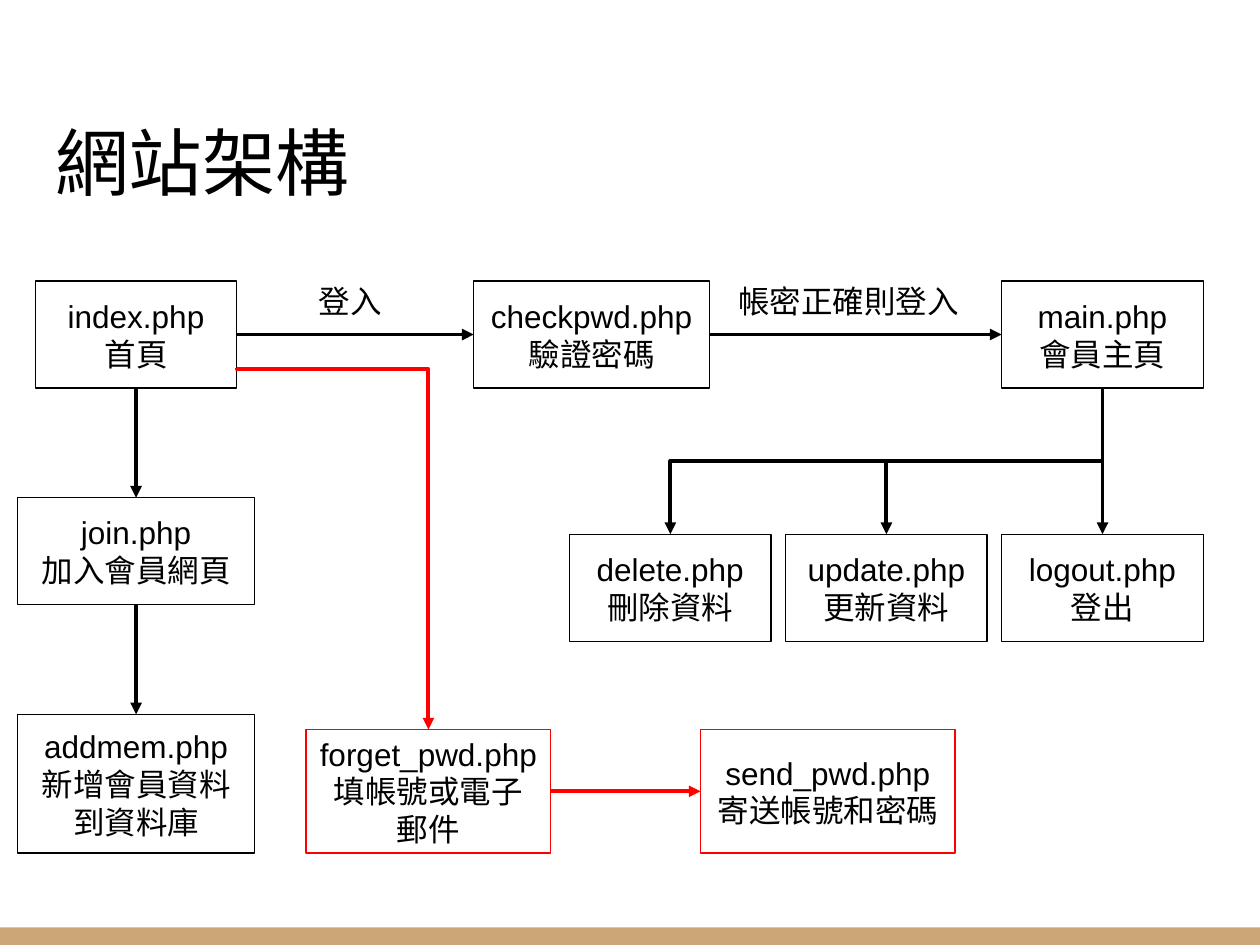
from dataclasses import dataclass

from lxml.etree import SubElement
from pptx import Presentation
from pptx.dml.color import RGBColor
from pptx.enum.shapes import MSO_CONNECTOR as Connector, MSO_SHAPE as Shape
from pptx.enum.text import MSO_ANCHOR as Anchor, PP_ALIGN as Align
from pptx.oxml.ns import qn
from pptx.util import Inches, Pt


@dataclass(frozen=True)
class Theme:
    black: RGBColor = RGBColor(0, 0, 0)
    red: RGBColor = RGBColor(0xFF, 0, 0)
    tan: RGBColor = RGBColor(0xCC, 0xA6, 0x77)
    title_font: str = "Roboto"
    body_font: str = "Arial"
    title_size: int = 42
    body_size: int = 18
    border: float = 0.75
    arrow: float = 2.25
    inset: float = 0.1


THEME = Theme()


@dataclass(frozen=True)
class Page:
    """One page of the site: its file name, its purpose and its box."""
    file: str
    purpose: str
    left: float
    top: float
    width: float = 1.6
    height: float = 0.85
    color: RGBColor = THEME.black

    @property
    def right(self) -> float:
        return self.left + self.width

    @property
    def bottom(self) -> float:
        return self.top + self.height

    @property
    def center(self) -> float:
        return self.left + self.width / 2

    @property
    def middle(self) -> float:
        return self.top + self.height / 2


@dataclass(frozen=True)
class Label:
    text: str
    left: float
    top: float
    width: float
    height: float
    font: str = THEME.body_font
    size: int = THEME.body_size
    anchor: Anchor = Anchor.TOP


TOP_ROW, ACTION_ROW, JOIN_ROW = 2.23, 4.24, 3.95
ACTION_LEFT, ACTION_STEP = 4.52, 1.715
MAIN_LEFT = ACTION_LEFT + 2 * ACTION_STEP

INDEX = Page("index.php", "首頁", 0.28, TOP_ROW)
CHECK = Page("checkpwd.php", "驗證密碼", 3.76, TOP_ROW, 1.87)
MAIN = Page("main.php", "會員主頁", MAIN_LEFT, TOP_ROW)
JOIN = Page("join.php", "加入會員網頁", 0.14, JOIN_ROW, 1.88)
ADD = Page("addmem.php", "新增會員資料到資料庫", 0.14, 5.67, 1.88, 1.1)
FORGET = Page("forget_pwd.php", "填帳號或電子郵件", 2.43, 5.79, 1.94, 0.98, THEME.red)
SEND = Page("send_pwd.php", "寄送帳號和密碼", 5.56, 5.79, 2.02, 0.98, THEME.red)
DELETE, UPDATE, LOGOUT = (
    Page(file, purpose, ACTION_LEFT + index * ACTION_STEP, ACTION_ROW)
    for index, (file, purpose) in enumerate(
        [("delete.php", "刪除資料"), ("update.php", "更新資料"), ("logout.php", "登出")])
)
PAGES = [INDEX, CHECK, MAIN, JOIN, ADD, DELETE, UPDATE, LOGOUT, FORGET, SEND]

LABELS = [
    Label("網站架構", 0.34, 0.88, 9.32, 0.85, THEME.title_font, THEME.title_size, Anchor.BOTTOM),
    Label("登入", 2.43, 2.14, 0.78, 0.52),
    Label("帳密正確則登入", 5.76, 2.14, 2.02, 0.52),
]

ACROSS = [(INDEX, CHECK), (CHECK, MAIN), (FORGET, SEND)]
DOWN = [(INDEX, JOIN), (JOIN, ADD), (MAIN, LOGOUT)]
BRANCHES = [(MAIN, UPDATE), (MAIN, DELETE)]


def write_text(shape, lines: list[str], font: str, size: int, anchor: Anchor, align: Align) -> None:
    frame = shape.text_frame
    inset = Inches(THEME.inset)
    frame_format = {"word_wrap": True, "vertical_anchor": anchor, "margin_left": inset,
                    "margin_right": inset, "margin_top": inset, "margin_bottom": inset}
    for name, value in frame_format.items():
        setattr(frame, name, value)
    frame.text = "\n".join(lines)
    for paragraph in frame.paragraphs:
        paragraph.alignment = align
        for name, value in {"name": font, "size": Pt(size)}.items():
            setattr(paragraph.font, name, value)
        paragraph.font.color.rgb = THEME.black


def draw_band(slide) -> None:
    band = slide.shapes.add_shape(
        Shape.RECTANGLE, Inches(0), Inches(7.36), Inches(10), Inches(0.14))
    band.shadow.inherit = False
    band.fill.solid()
    band.fill.fore_color.rgb = THEME.tan
    band.line.fill.background()


def draw_label(slide, label: Label) -> None:
    box = slide.shapes.add_textbox(
        Inches(label.left), Inches(label.top), Inches(label.width), Inches(label.height))
    write_text(box, [label.text], label.font, label.size, label.anchor, Align.LEFT)


def draw_page(slide, page: Page) -> None:
    box = slide.shapes.add_shape(
        Shape.RECTANGLE, Inches(page.left), Inches(page.top),
        Inches(page.width), Inches(page.height))
    box.shadow.inherit = False
    box.fill.background()
    box.line.color.rgb = page.color
    box.line.width = Pt(THEME.border)
    write_text(box, [page.file, page.purpose], THEME.body_font, THEME.body_size,
               Anchor.MIDDLE, Align.CENTER)


def draw_arrow(slide, kind: Connector, x1: float, y1: float, x2: float, y2: float,
               color: RGBColor):
    arrow = slide.shapes.add_connector(kind, Inches(x1), Inches(y1), Inches(x2), Inches(y2))
    arrow.line.color.rgb = color
    arrow.line.width = Pt(THEME.arrow)
    SubElement(arrow.line._get_or_add_ln(), qn("a:tailEnd"), type="triangle")
    SubElement(arrow._element.spPr, qn("a:effectLst"))
    return arrow


def draw_bent_arrow(slide, x1: float, y1: float, x2: float, y2: float,
                    color: RGBColor, turn: float = 0.5) -> None:
    """Run down, across and down again; turn is the share of the drop before the bend."""
    drop, shift = y2 - y1, abs(x2 - x1)
    left = (x1 + x2 - drop) / 2
    top = (y1 + y2 - shift) / 2
    rightward = x2 > x1
    begin, end = (left + drop, left) if rightward else (left, left + drop)
    arrow = draw_arrow(slide, Connector.ELBOW, begin, top, end, top + shift, color)
    properties = arrow._element.spPr
    properties.find(qn("a:xfrm")).set("rot", str((270 if rightward else 90) * 60000))
    adjustments = properties.find(qn("a:prstGeom")).find(qn("a:avLst"))
    SubElement(adjustments, qn("a:gd"), name="adj1", fmla=f"val {round(turn * 100000)}")


def main() -> None:
    presentation = Presentation()
    presentation.slide_width, presentation.slide_height = Inches(10), Inches(7.5)
    slide = presentation.slides.add_slide(presentation.slide_layouts[6])

    draw_band(slide)
    for label in LABELS:
        draw_label(slide, label)
    for page in PAGES:
        draw_page(slide, page)
    for source, target in ACROSS:
        draw_arrow(slide, Connector.STRAIGHT, source.right, source.middle,
                   target.left, target.middle, source.color)
    for source, target in DOWN:
        draw_arrow(slide, Connector.STRAIGHT, source.center, source.bottom,
                   target.center, target.top, source.color)
    for source, target in BRANCHES:
        draw_bent_arrow(slide, source.center, source.bottom,
                        target.center, target.top, source.color)
    draw_bent_arrow(slide, INDEX.right, 2.92, FORGET.center, FORGET.top, THEME.red, turn=0.004)
    presentation.save("out.pptx")


if __name__ == "__main__":
    main()
